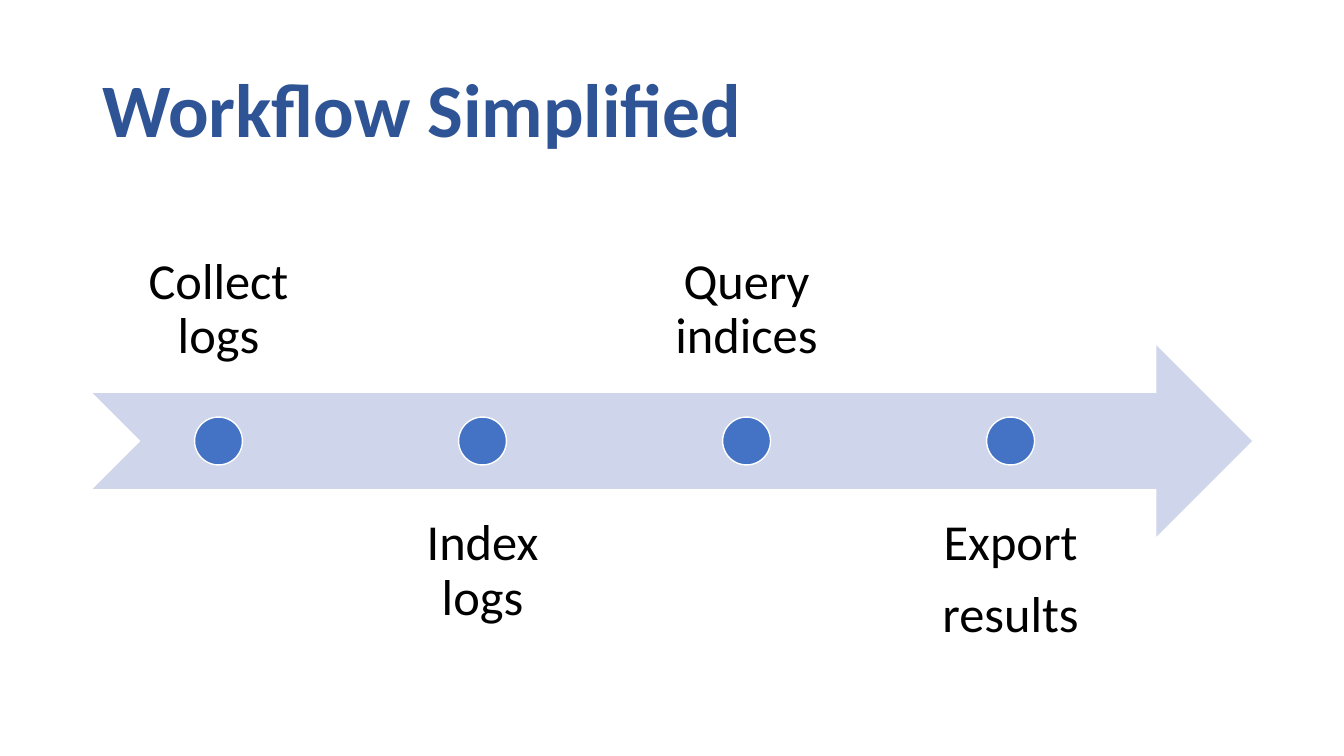
from pptx import Presentation
from pptx.dml.color import RGBColor as RGB
from pptx.enum.shapes import MSO_SHAPE as SHAPE
from pptx.enum.text import MSO_ANCHOR as ANCHOR, PP_ALIGN as ALIGN
from pptx.util import Inches, Pt

COLORS = {"title": "2F5496", "arrow": "CFD5EA", "dot": "4472C4",
          "outline": "FFFFFF", "text": "000000"}
FONT = "Calibri"
STEPS = [["Collect logs"], ["Index logs"], ["Query indices"], ["Export", "results"]]


def color(name):
    return RGB.from_string(COLORS[name])


def add_text(shapes, box, lines, size, ink, anchor, align=ALIGN.LEFT, bold=False, inset=None):
    tf = shapes.add_textbox(*map(Inches, box)).text_frame
    tf.word_wrap = True
    tf.vertical_anchor = anchor
    if inset is not None:
        tf.margin_left = tf.margin_right = tf.margin_top = tf.margin_bottom = Inches(inset)
    tf.text = "\n".join(lines)
    for p in tf.paragraphs:
        p.alignment = align
        p.line_spacing = 0.9
        p.space_after = Pt(0.35 * size)
        p.font.name, p.font.size, p.font.bold = FONT, Pt(size), bold
        p.font.color.rgb = color(ink)


def add_figure(shapes, kind, box, fill, outline=None):
    sp = shapes.add_shape(kind, *map(Inches, box))
    sp.shadow.inherit = False
    sp.fill.solid()
    sp.fill.fore_color.rgb = color(fill)
    if outline:
        sp.line.color.rgb = color(outline)
        sp.line.width = Pt(1)
    else:
        sp.line.fill.background()


def add_title(slide, box, text):
    add_text(slide.shapes, box, [text], 54, "title", ANCHOR.MIDDLE, bold=True)


def add_timeline(slide, box, steps):
    left, top, width, height = box
    shapes = slide.shapes.add_group_shape().shapes
    row = 0.4 * height
    dot = row / 4
    gap_share = 0.05
    column = 0.9 * width / (len(steps) + gap_share * (len(steps) - 1))
    add_figure(shapes, SHAPE.NOTCHED_RIGHT_ARROW, (left, top + 0.3 * height, width, row), "arrow")
    for i, lines in enumerate(steps):
        x = left + i * column * (1 + gap_share)
        below = i % 2
        y = top + (height - row) * below
        anchor = ANCHOR.TOP if below else ANCHOR.BOTTOM
        add_text(shapes, (x, y, column, row), lines, 36, "text", anchor, ALIGN.CENTER, inset=0.28)
        dot_box = (x + (column - dot) / 2, top + (height - dot) / 2, dot, dot)
        add_figure(shapes, SHAPE.OVAL, dot_box, "dot", "outline")


prs = Presentation()
prs.slide_width, prs.slide_height = Inches(13.33), Inches(7.5)
slide = prs.slides.add_slide(prs.slide_layouts[6])
add_title(slide, (0.92, 0.4, 11.5, 1.45), "Workflow Simplified")
add_timeline(slide, (0.92, 2, 11.5, 4.75), STEPS)
prs.save("out.pptx")
